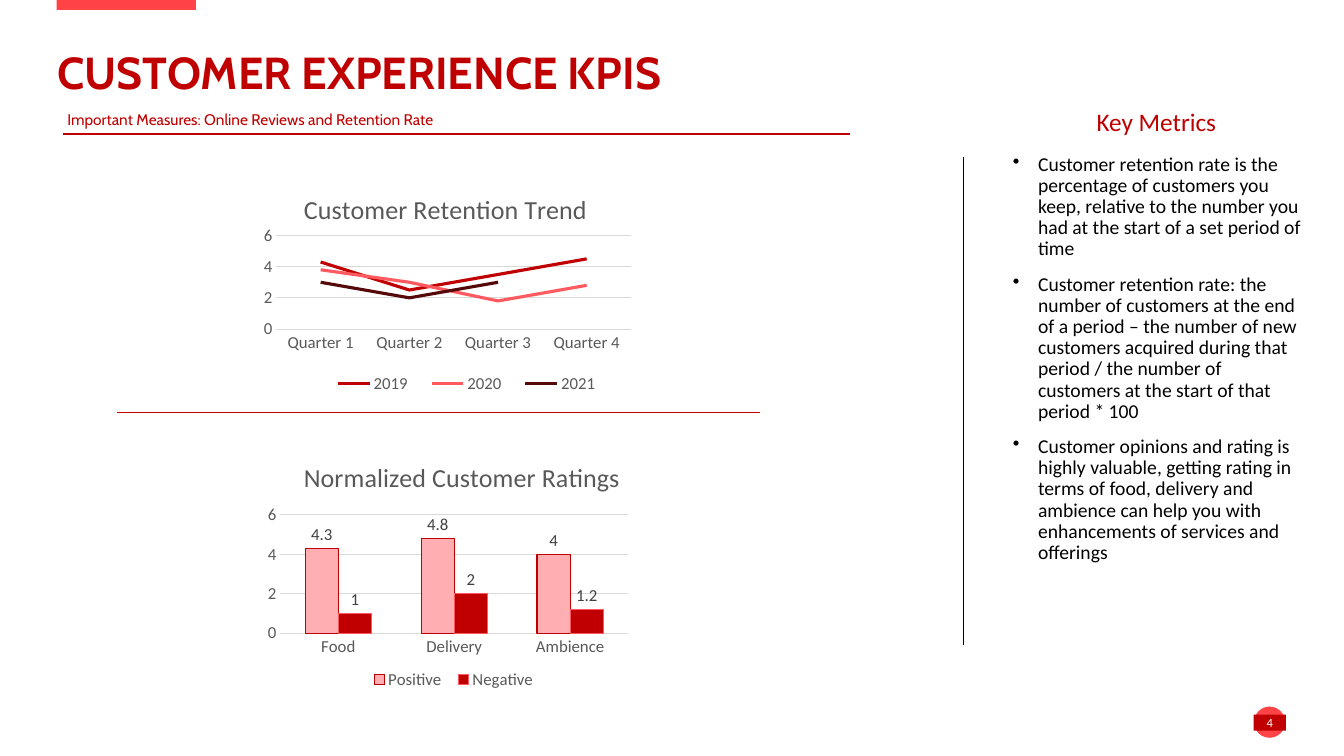
from dataclasses import dataclass
from lxml import etree
from pptx import Presentation
from pptx.chart.data import CategoryChartData
from pptx.dml.color import RGBColor as RGB
from pptx.enum.chart import XL_CHART_TYPE as CT, XL_LEGEND_POSITION as LP
from pptx.enum.chart import XL_LABEL_POSITION as DL, XL_MARKER_STYLE as MS, XL_TICK_MARK as TM
from pptx.enum.shapes import MSO_CONNECTOR as MC, MSO_SHAPE as SH
from pptx.enum.text import MSO_ANCHOR as MA, PP_ALIGN as PA
from pptx.oxml import parse_xml
from pptx.oxml.ns import nsdecls, qn
from pptx.util import Pt


@dataclass(frozen=True)
class Theme:
    red: RGB = RGB(0xC0, 0, 0)
    coral: RGB = RGB(0xFF, 0x43, 0x47)
    salmon: RGB = RGB(0xFF, 0x5A, 0x5F)
    pink: RGB = RGB(0xFF, 0xAF, 0xB1)
    maroon: RGB = RGB(0x55, 0x09, 0x09)
    black: RGB = RGB(0, 0, 0)
    white: RGB = RGB(0xFF, 0xFF, 0xFF)
    gray: RGB = RGB(0x59, 0x59, 0x59)
    label: RGB = RGB(0x40, 0x40, 0x40)
    grid: RGB = RGB(0xD9, 0xD9, 0xD9)
    head: str = "Cabin"
    body: str = "Calibri"
    title: float = 32
    subtitle: float = 11
    heading: float = 18
    bullet: float = 14
    chart_title: float = 18.6
    chart_text: float = 12
    number: float = 9


T = Theme()


def style(font, size, color, name=T.body, bold=False):
    font.size, font.name, font.bold = Pt(size), name, bold
    font.color.rgb = color


def place(parent, before, **values):
    for old in parent.findall(qn("c:layout")):
        parent.remove(old)
    inner = '<c:layoutTarget val="inner"/>' if before is None else ""
    modes = '<c:xMode val="edge"/><c:yMode val="edge"/>'
    sizes = "".join(f'<c:{k} val="{v}"/>' for k, v in values.items())
    layout = parse_xml(f'<c:layout {nsdecls("c")}><c:manualLayout>'
                       f'{inner}{modes}{sizes}</c:manualLayout></c:layout>')
    if before is None:
        parent.insert(0, layout)
    else:
        parent.find(qn(before)).addnext(layout)


prs = Presentation()
prs.slide_width, prs.slide_height = Pt(960), Pt(540)
s = prs.slides.add_slide(prs.slide_layouts[6])

for kind, x, y, w, h, color in [
    (SH.RECTANGLE, 40.5, -1.5, 99.5, 8.6, T.coral),
    (SH.OVAL, 895.7, 504.7, 22.3, 22.3, T.coral),
    (SH.RECTANGLE, 895.5, 510.5, 23, 11.5, T.red),
]:
    sp = s.shapes.add_shape(kind, Pt(x), Pt(y), Pt(w), Pt(h))
    sp.shadow.inherit = False
    sp.fill.solid()
    sp.fill.fore_color.rgb = color
    sp.line.fill.background()
tf = sp.text_frame
tf.margin_left = tf.margin_right = tf.margin_top = tf.margin_bottom = 0
tf.vertical_anchor = MA.MIDDLE
p = tf.paragraphs[0]
p.text, p.alignment = "4", PA.CENTER
style(p.font, T.number, T.white)

METRICS = [
    "Customer retention rate is the percentage of customers you keep, relative to the "
    "number you had at the start of a set period of time",
    "Customer retention rate: the number of customers at the end of a period – the number "
    "of new customers acquired during that period / the number of customers at the start "
    "of that period * 100",
    "Customer opinions and rating is highly valuable, getting rating in terms of food, "
    "delivery and ambience can help you with enhancements of services and offerings",
]
for x, y, w, h, lines, size, color, font in [
    (41, 27.4, 878, 43.2, ["CUSTOMER EXPERIENCE KPIS"], T.title, T.red, T.head),
    (41, 74.9, 647, 20.9, ["Important Measures: Online Reviews and Retention Rate"],
     T.subtitle, T.red, T.head),
    (776.2, 72.7, 198, 28.8, ["Key Metrics"], T.heading, T.red, T.body),
    (716.4, 106.6, 224.6, 339, METRICS, T.bullet, T.black, T.body),
]:
    tf = s.shapes.add_textbox(Pt(x), Pt(y), Pt(w), Pt(h)).text_frame
    tf.word_wrap = True
    if size == T.title:
        tf.margin_left = tf.margin_right = tf.margin_top = tf.margin_bottom = 0
        tf.vertical_anchor = MA.BOTTOM
    for i, text in enumerate(lines):
        p = tf.add_paragraph() if i else tf.paragraphs[0]
        p.text = text
        style(p.font, size, color, font, size == T.title)
        if size in (T.title, T.bullet):
            p.line_spacing = 0.9
        if lines is METRICS:
            p.space_before = Pt(10)
            pPr = p._p.get_or_add_pPr()
            pPr.set("marL", str(Pt(18)))
            pPr.set("indent", str(Pt(-18)))
            bullet = parse_xml(f'<a:buChar {nsdecls("a")} char="•"/>')
            pPr.insert_element_before(bullet, "a:tabLst", "a:defRPr", "a:extLst")

for x1, y1, x2, y2, color, width in [
    (688.3, 112.3, 688.3, 460.8, T.black, 0.5),
    (83.5, 294.5, 543, 294.5, T.red, 0.5),
    (44.8, 95.8, 607, 95.8, T.red, 1),
]:
    line = s.shapes.add_connector(MC.STRAIGHT, Pt(x1), Pt(y1), Pt(x2), Pt(y2))
    line.line.color.rgb, line.line.width = color, Pt(width)
    etree.SubElement(line._element.spPr, qn("a:effectLst"))

RETENTION = [("2019", (4.3, 2.5, 3.5, 4.5), T.red, T.red),
             ("2020", (3.8, 3, 1.8, 2.8), T.salmon, T.salmon),
             ("2021", (3, 2, 3, None), T.maroon, T.maroon)]
RATINGS = [("Positive", (4.3, 4.8, 4), T.pink, T.red),
           ("Negative", (1, 2, 1.2), T.red, T.salmon)]
for kind, box, title, cats, series, title_at, plot_at, legend_at in [
    (CT.LINE, (170.6, 120.2, 288, 166.3), "Customer Retention Trend",
     [f"Quarter {q}" for q in range(1, 5)], RETENTION,
     dict(x=0.15, y=0.08), dict(x=0.093, y=0.289, w=0.88, h=0.402),
     dict(x=0.2, y=0.87, w=0.73, h=0.11)),
    (CT.COLUMN_CLUSTERED, (171.4, 313.2, 324.7, 185), "Normalized Customer Ratings",
     ["Food", "Delivery", "Ambience"], RATINGS,
     dict(x=0.13, y=0.06), dict(x=0.089, y=0.295, w=0.765, h=0.457),
     dict(x=0.27, y=0.88, w=0.4, h=0.1)),
]:
    data = CategoryChartData()
    data.categories = cats
    for name, values, *_ in series:
        data.add_series(name, values)
    chart = s.shapes.add_chart(kind, *map(Pt, box), data).chart
    style(chart.font, T.chart_text, T.gray)
    chart.has_title = True
    p = chart.chart_title.text_frame.paragraphs[0]
    p.text = title
    style(p.font, T.chart_title, T.gray)
    chart.chart_title.include_in_layout = False
    chart.has_legend = True
    chart.legend.position = LP.BOTTOM
    chart.legend.include_in_layout = False
    style(chart.legend.font, T.chart_text, T.gray)
    place(chart.chart_title._element, "c:tx", **title_at)
    place(chart._chartSpace.chart.plotArea, None, **plot_at)
    place(chart.legend._element, "c:legendPos", **legend_at)

    cat, val = chart.category_axis, chart.value_axis
    for axis in (cat, val):
        axis.major_tick_mark = axis.minor_tick_mark = TM.NONE
        style(axis.tick_labels.font, T.chart_text, T.gray)
    val.minimum_scale, val.maximum_scale, val.major_unit = 0, 6, 2
    val.format.line.fill.background()
    for line in (cat.format.line, val.major_gridlines.format.line):
        line.color.rgb, line.width = T.grid, Pt(0.75)

    plot = chart.plots[0]
    plot.vary_by_categories = False
    for ser, (_, _, fill, edge) in zip(plot.series, series):
        ser.format.line.color.rgb = edge
        if kind == CT.LINE:
            ser.format.line.width = Pt(2.25)
            ser.smooth = False
            ser.marker.style = MS.NONE
        else:
            ser.format.line.width = Pt(0.75)
            ser.format.fill.solid()
            ser.format.fill.fore_color.rgb = fill
            ser.invert_if_negative = False
            labels = ser.data_labels
            labels.show_value, labels.position = True, DL.OUTSIDE_END
            style(labels.font, T.chart_text, T.label)
    if kind == CT.COLUMN_CLUSTERED:
        plot.gap_width, plot.overlap = 75 * 2, 0

prs.save("out.pptx")
